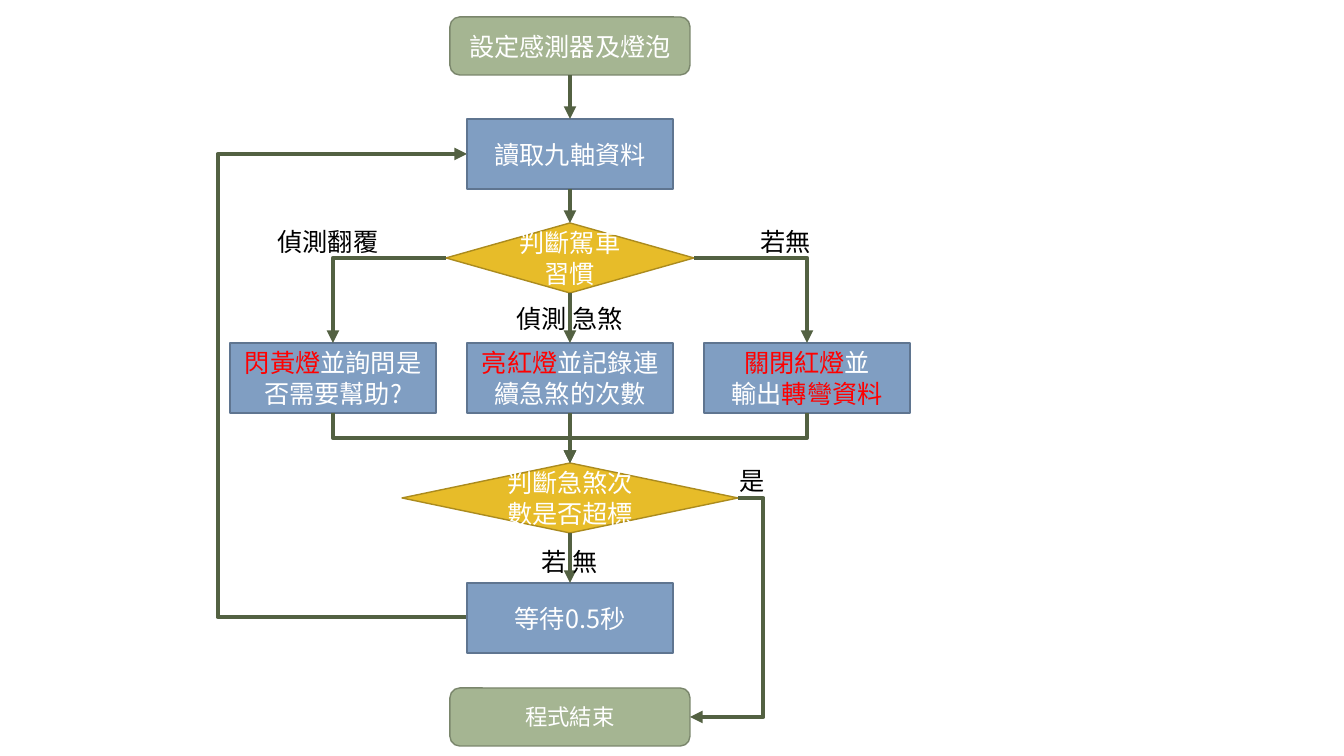
from lxml import etree
from pptx import Presentation
from pptx.dml.color import RGBColor
from pptx.enum.shapes import MSO_CONNECTOR, MSO_SHAPE
from pptx.enum.text import MSO_ANCHOR, PP_ALIGN
from pptx.oxml.ns import qn
from pptx.util import Inches, Pt

STRAIGHT, ELBOW = MSO_CONNECTOR.STRAIGHT, MSO_CONNECTOR.ELBOW
TERMINAL, STEP = MSO_SHAPE.ROUNDED_RECTANGLE, MSO_SHAPE.RECTANGLE
DECISION = MSO_SHAPE.FLOWCHART_DECISION
CENTER, MIDDLE = PP_ALIGN.CENTER, MSO_ANCHOR.MIDDLE
TOP, BOTTOM = 0, 2

WHITE = RGBColor(0xFF, 0xFF, 0xFF)
BLACK = RGBColor(0x00, 0x00, 0x00)
RED = RGBColor(0xFF, 0x00, 0x00)
ARROW_GREEN = RGBColor(0x53, 0x61, 0x42)
COLORS = {
    TERMINAL: (RGBColor(0xA5, 0xB5, 0x92), RGBColor(0x7A, 0x86, 0x6C)),
    STEP: (RGBColor(0x80, 0x9E, 0xC2), RGBColor(0x5F, 0x75, 0x90)),
    DECISION: (RGBColor(0xE7, 0xBC, 0x29), RGBColor(0xAB, 0x8B, 0x1E)),
}
HEIGHTS = {TERMINAL: 58, STEP: 70, DECISION: 70}
STEP_WIDTH = 206
LEFT, MID, RIGHT = (570 + 237 * column for column in (-1, 0, 1))


def px(length):
    """Turn px into EMU."""
    return round(length * Inches(1) / 100.8)


class FlowChart:
    """Draws flow chart parts on one slide in one style."""

    font = "Noto Sans CJK SC"

    def __init__(self, slide):
        """Keep the slide to draw on."""
        self.shapes = slide.shapes

    def fill_text(self, frame, text, color, size=18):
        """Fill a frame with centred lines; parts between asterisks are red."""
        frame.text = "\n" * text.count("\n")
        for paragraph, line in zip(frame.paragraphs, text.split("\n")):
            paragraph.alignment = CENTER
            for index, part in enumerate(line.split("*")):
                if not part:
                    continue
                run = paragraph.add_run()
                run.text = part
                run.font.size = Pt(size)
                run.font.name = self.font
                run.font.color.rgb = RED if index % 2 else color
                etree.SubElement(run._r.get_or_add_rPr(), qn("a:ea"), typeface=self.font)

    def node(self, kind, center, top, text, width=STEP_WIDTH, size=18):
        """Add a filled flow chart shape around a centre line."""
        shape = self.shapes.add_shape(
            kind, px(center - width / 2), px(top), px(width), px(HEIGHTS[kind]))
        fill, outline = COLORS[kind]
        shape.shadow.inherit = False
        shape.fill.solid()
        shape.fill.fore_color.rgb = fill
        shape.line.color.rgb = outline
        shape.line.width = Pt(1)
        shape.text_frame.word_wrap = True
        shape.text_frame.vertical_anchor = MIDDLE
        self.fill_text(shape.text_frame, text, WHITE, size)
        return shape

    def label(self, left, top, width, text):
        """Add a branch label."""
        box = self.shapes.add_textbox(px(left), px(top), px(width), px(40))
        box.text_frame.word_wrap = False
        self.fill_text(box.text_frame, text, BLACK)

    def connector(self, kind, *ends):
        """Add a green connector with an arrowhead at its end."""
        line = self.shapes.add_connector(kind, *map(px, ends))
        line.line.color.rgb = ARROW_GREEN
        line.line.width = Pt(3)
        properties = line._element.spPr
        etree.SubElement(properties.get_or_add_ln(), qn("a:tailEnd"), type="triangle")
        etree.SubElement(properties, qn("a:effectLst"))
        return line

    def arrow(self, source, target):
        """Join the bottom of one node to the top of the next."""
        line = self.connector(STRAIGHT, 0, 0, 0, 0)
        line.begin_connect(source, BOTTOM)
        line.end_connect(target, TOP)

    def elbow(self, ends, bends, *adjustments):
        """Add a bent connector that leaves sideways."""
        line = self.connector(ELBOW, *ends)
        geometry = line._element.spPr.find(qn("a:prstGeom"))
        geometry.set("prst", f"bentConnector{bends}")
        guides = geometry.find(qn("a:avLst"))
        for number, value in enumerate(adjustments, 1):
            etree.SubElement(guides, qn("a:gd"), name=f"adj{number}",
                             fmla=f"val {round(value * 100000)}")

    def merge(self, x1, y1, x2, y2):
        """Add a bent connector that leaves downwards, as a quarter turn."""
        x, y = (x1 + x2) / 2, (y1 + y2) / 2
        run, drop = (x2 - x1) / 2, (y2 - y1) / 2
        line = self.connector(ELBOW, x - drop, y + run, x + drop, y - run)
        line._element.spPr.find(qn("a:xfrm")).set("rot", str(90 * 60000))


def main():
    """Build the driving monitor flow chart."""
    deck = Presentation()
    deck.slide_width, deck.slide_height = px(1344), px(756)
    chart = FlowChart(deck.slides.add_slide(deck.slide_layouts[6]))

    chart.elbow((673, 617, 467, 154), 5, 2.21, 0.5, 2.21)

    setup = chart.node(TERMINAL, MID, 17, "設定感測器及燈泡", 240)
    chart.node(TERMINAL, MID, 688, "程式結束", 240, 16)
    read = chart.node(STEP, MID, 119, "讀取九軸資料")
    habit = chart.node(DECISION, MID, 223, "判斷駕車習慣", 248)
    chart.node(STEP, LEFT, 343, "*閃黃燈*並詢問是否需要幫助?")
    braking = chart.node(STEP, MID, 343, "*亮紅燈*並記錄連續急煞的次數")
    chart.node(STEP, RIGHT, 343, "*關閉紅燈*並\n輸出*轉彎資料*")
    limit = chart.node(DECISION, MID, 463, "判斷急煞次數是否超標", 336)
    wait = chart.node(STEP, MID, 583, "等待0.5秒")

    flow = (setup, read, habit, braking, limit, wait)
    for source, target in zip(flow, flow[1:]):
        chart.arrow(source, target)
    for corner, branch in ((446, LEFT), (694, RIGHT)):
        chart.elbow((corner, 258, branch, 343), 2)
        chart.merge(branch, 413, MID, 463)
    chart.elbow((738, 498, 690, 717), 3, -0.53)

    chart.label(267, 221, 122, "偵測翻覆")
    chart.label(502, 298, 135, "偵測 急煞")
    chart.label(750, 221, 72, "若無")
    chart.label(519, 541, 102, "若 無")
    chart.label(701, 460, 102, "是")

    deck.save("out.pptx")


if __name__ == "__main__":
    main()
